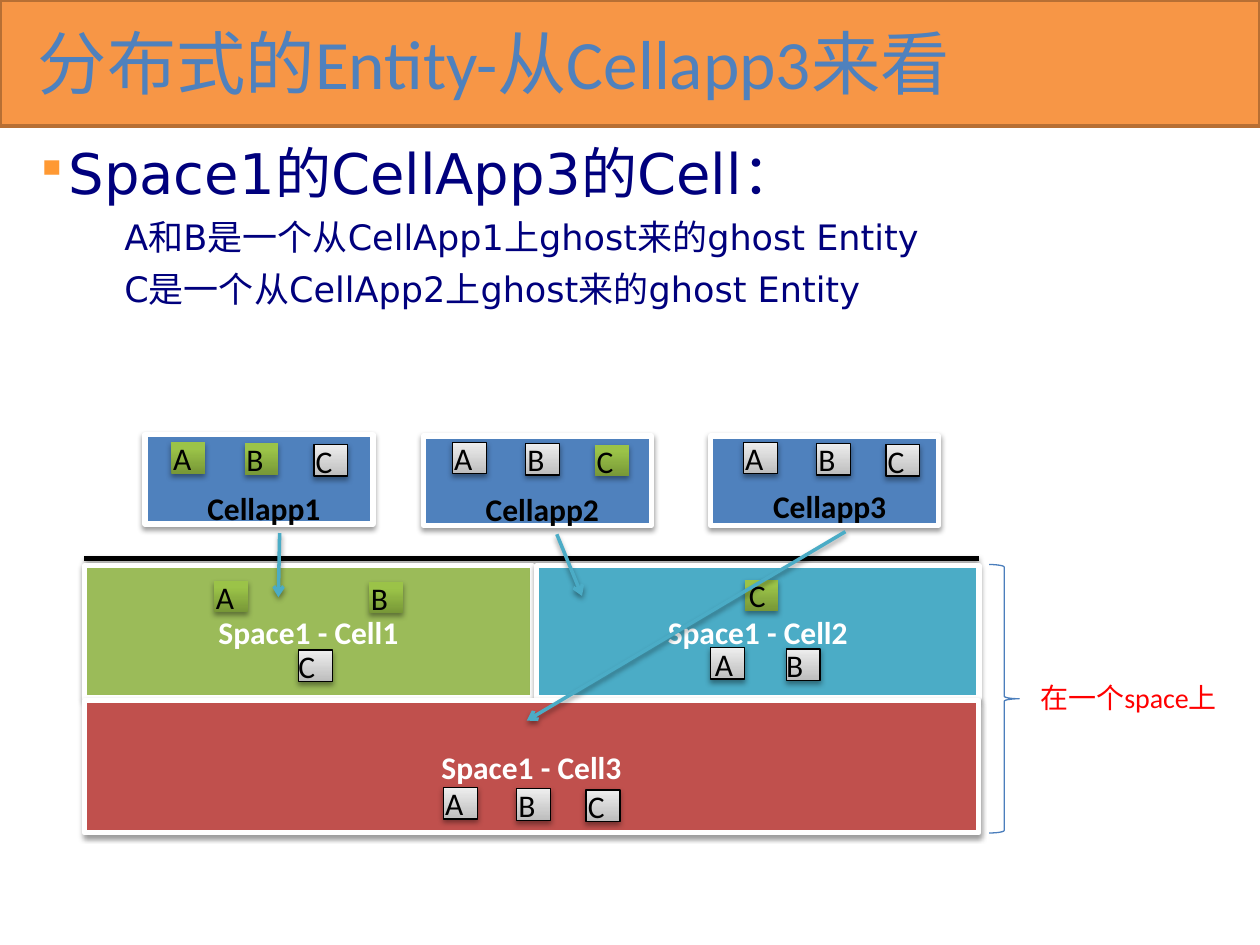
"""Build the slide on distributed entities as seen from Cellapp3."""
import pptx
import pptx.util
import pptx.dml.color
import pptx.enum.shapes
import pptx.enum.text
import pptx.oxml.ns
from lxml import etree

Pt = pptx.util.Pt
SHAPE = pptx.enum.shapes.MSO_SHAPE
ALIGN = pptx.enum.text.PP_ALIGN
ANCHOR = pptx.enum.text.MSO_ANCHOR
HEX = {
    "orange": "F79646", "rust": "B76F34", "blue": "4F81BD", "navy": "00007D",
    "bullet": "FF9933", "green": "9BBB59", "teal": "4BACC6", "brick": "C0504D",
    "white": "FFFFFF", "black": "000000", "red": "FF0000", "brace": "4B7EBC",
}
REAL = ("779737", "9BC348", 0.8)
GHOST = ("BDBDBD", "EEEEEE", 1)


def tint(name):
    return pptx.dml.color.RGBColor.from_string(HEX[name])


def node(parent, tag, **attrs):
    return etree.SubElement(parent, pptx.oxml.ns.qn(tag), attrs)


def write(frame, text, size=18, color="black", font="Calibri", bold=False,
          align=ALIGN.LEFT, anchor=ANCHOR.TOP, inset=(7.2, 3.6, 7.2, 3.6),
          wrap=True, more=False):
    frame.word_wrap, frame.vertical_anchor = wrap, anchor
    (frame.margin_left, frame.margin_top,
     frame.margin_right, frame.margin_bottom) = map(Pt, inset)
    para = frame.add_paragraph() if more else frame.paragraphs[0]
    para.alignment = align
    run = para.add_run()
    run.text = text
    run.font.size, run.font.bold, run.font.name = Pt(size), bold, font
    run.font.color.rgb = tint(color)
    return para


def label(slide, text, x, y, wide, high, **style):
    box = slide.shapes.add_textbox(Pt(x), Pt(y), Pt(wide), Pt(high))
    write(box.text_frame, text, **style)
    return box


def shade(props):
    list_node = props.find(pptx.oxml.ns.qn("a:effectLst"))
    outer = node(list_node, "a:outerShdw", blurRad=str(Pt(3.1)), dist=str(Pt(1.7)),
                 dir="5400000", rotWithShape="0")
    node(node(outer, "a:srgbClr", val=HEX["black"]), "a:alpha", val="38000")


def block(slide, x, y, wide, high, fill=None, line=None, weight=3,
          kind=SHAPE.RECTANGLE, cast=True):
    shape = slide.shapes.add_shape(kind, Pt(x), Pt(y), Pt(wide), Pt(high))
    shape.shadow.inherit = False
    if fill:
        shape.fill.solid()
        shape.fill.fore_color.rgb = tint(fill)
    else:
        shape.fill.background()
    if line:
        shape.line.color.rgb = tint(line)
        shape.line.width = Pt(weight)
    else:
        shape.line.fill.background()
    if cast:
        shade(shape._element.spPr)
    return shape


def tile(slide, text, x, y, look, left=1):
    shape = block(slide, x, y, 19.4, 18, line=None if look is REAL else "black",
                  weight=0.75)
    shape.fill.gradient()
    shape.fill.gradient_angle = 90
    low, high, end = look
    for stop, shade_hex, place in zip(shape.fill.gradient_stops, (low, high), (0, end)):
        stop.color.rgb = pptx.dml.color.RGBColor.from_string(shade_hex)
        stop.position = place
    write(shape.text_frame, text, anchor=ANCHOR.MIDDLE, inset=(left, 0, 0, 0), wrap=False)


def trio(slide, x, y, real=""):
    for step, (text, gap) in enumerate(zip("ABC", (0, 41.9, 81.5))):
        tile(slide, text, x + gap, y + 0.7 * step, REAL if text in real else GHOST)


def line(slide, start, end, color, weight, arrow=False):
    link = slide.shapes.add_connector(
        pptx.enum.shapes.MSO_CONNECTOR.STRAIGHT, *map(Pt, start + end))
    link.line.color.rgb = tint(color)
    link.line.width = Pt(weight)
    if arrow:
        node(link.line._get_or_add_ln(), "a:tailEnd", type="arrow")
    node(link._element.spPr, "a:effectLst")
    shade(link._element.spPr)


def head(slide):
    title = slide.shapes.title
    band = block(slide, 0, 0, 720, 72, "orange", "rust", 2, cast=False)
    title._element.addprevious(band._element)
    title.left, title.top, title.width, title.height = map(Pt, (14.4, 10, 697.7, 51))
    write(title.text_frame, "分布式的Entity-从Cellapp3来看", size=39.6, color="blue",
          anchor=ANCHOR.MIDDLE)


def body(slide):
    style = dict(color="navy", font="DejaVu Sans", inset=(4.3, 0.7, 2.9, 3.6))
    box = label(slide, "Space1的CellApp3的Cell：", 15.8, 82.8, 689, 428.4,
                size=32, **style)
    frame = box.text_frame
    for text in ("A和B是一个从CellApp1上ghost来的ghost Entity",
                 "C是一个从CellApp2上ghost来的ghost Entity"):
        write(frame, text, size=20, more=True, **style)
    for rank, para in enumerate(frame.paragraphs):
        para.line_spacing, para.space_before = 0.9, Pt(8)
        props = para._p.get_or_add_pPr()
        props.set("marL", str(Pt(51 if rank else 14.4)))
        props.set("indent", str(Pt(0 if rank else -14.4)))
        if rank == 0:
            node(node(props, "a:buClr"), "a:srgbClr", val=HEX["bullet"])
            node(props, "a:buSzPct", val="80000")
            node(props, "a:buChar", char="▪")


def apps(slide):
    rows = (("Cellapp1", 82.8, 248.4, 97.9, 275.8, "AB"),
            ("Cellapp2", 241.9, 249.1, 258.5, 276.5, "C"),
            ("Cellapp3", 406.1, 249.1, 424.8, 275, ""))
    for name, x, y, first, base, real in rows:
        block(slide, x, y, 130.3, 51.1, "blue", "white")
        label(slide, name, x + 28.6, base, 96.5, 28.8, bold=True)
        trio(slide, first, 252.7, real)


def cells(slide):
    line(slide, (48.2, 319), (559.4, 319), "black", 3)
    for name, x, y, wide, fill in (("Cell1", 48.2, 323.3, 256.3, "green"),
                                   ("Cell2", 306.7, 323.3, 252.7, "teal"),
                                   ("Cell3", 48.2, 400.3, 511.2, "brick")):
        shape = block(slide, x, y, wide, 75.6, fill, "white")
        write(shape.text_frame, f"Space1 - {name}", color="white", bold=True,
              align=ALIGN.CENTER, anchor=ANCHOR.MIDDLE)
    for text, x, y, look, left in (("A", 122.4, 331.9, REAL, 1),
                                   ("B", 211, 332.6, REAL, 1),
                                   ("C", 425.5, 331.2, REAL, 2.4),
                                   ("A", 406.1, 370.1, GHOST, 2.4),
                                   ("B", 449.3, 370.8, GHOST, 0),
                                   ("C", 170.6, 371.5, GHOST, 0)):
        tile(slide, text, x, y, look, left)
    trio(slide, 253.4, 450)


def links(slide):
    for start, end in (((159.8, 304.6), (159.1, 341.3)),
                       ((318.2, 305.3), (332.6, 340.6)),
                       ((483.1, 303.8), (301, 411.8))):
        line(slide, start, end, "teal", 2, arrow=True)


def main():
    deck = pptx.Presentation()
    deck.slide_width, deck.slide_height = Pt(720), Pt(540)
    slide = deck.slides.add_slide(deck.slide_layouts[5])
    head(slide)
    body(slide)
    apps(slide)
    cells(slide)
    links(slide)
    block(slide, 565.2, 322.6, 17.3, 153.4, line="brace", weight=0.75,
          kind=SHAPE.RIGHT_BRACE, cast=False)
    label(slide, "在一个space上", 587.5, 385.2, 132.5, 26.6, size=16, color="red")
    deck.save("out.pptx")


if __name__ == "__main__":
    main()
